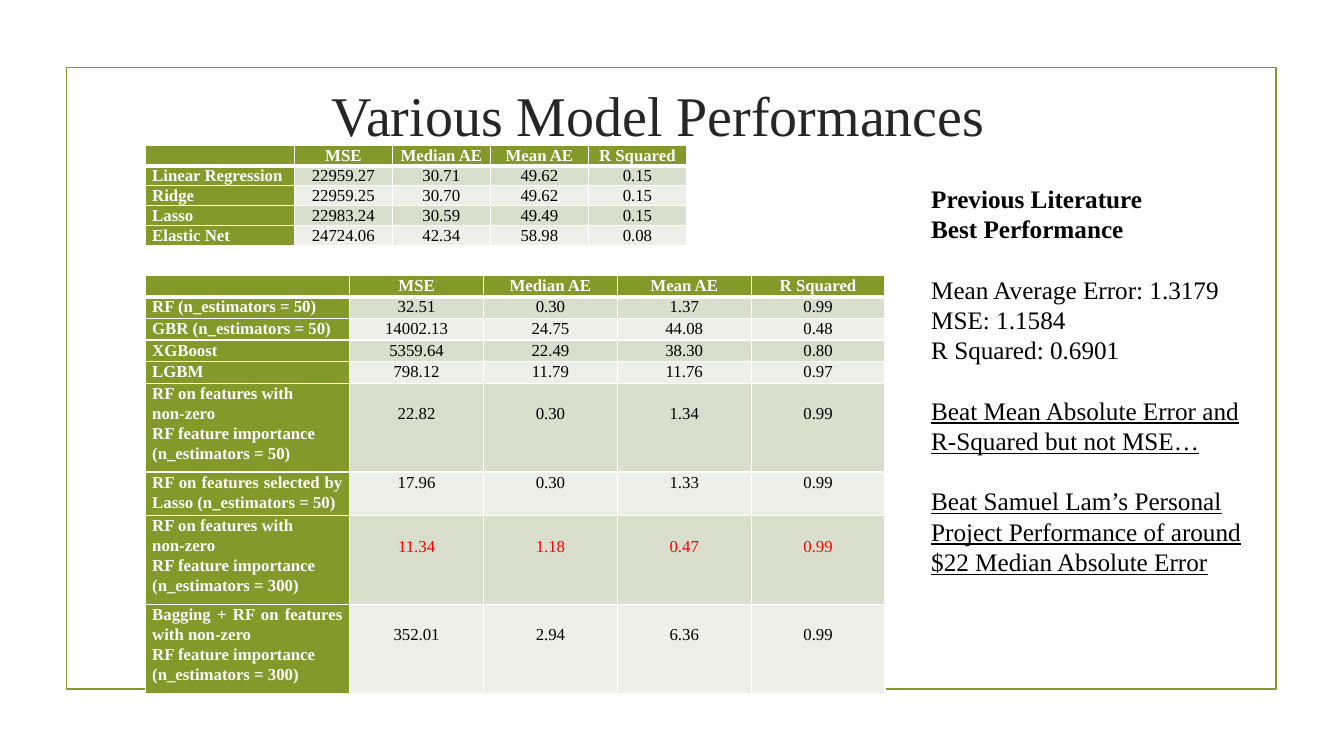
from dataclasses import dataclass

from lxml import etree
from pptx import Presentation
from pptx import util as u
from pptx.dml import color
from pptx.enum import shapes, text
from pptx.oxml import ns

WIDTH, HEIGHT = u.Inches(13.333), u.Inches(7.5)


@dataclass(frozen=True)
class Theme:
    """Colours, font and type sizes of the slide."""
    font: str = "Times New Roman"
    green: str = "83992A"
    band_dark: str = "D9DECD"
    band_light: str = "EDEFE8"
    white: str = "FFFFFF"
    black: str = "000000"
    heading: str = "262626"
    best: str = "FF0000"
    title_size: float = 40
    note_size: float = 18
    note_pitch: float = 21.6
    table_size: float = 12
    table_spacing: float = 1.07


THEME = Theme()
ALIGN = text.PP_ALIGN
METRICS = ["MSE", "Median AE", "Mean AE", "R Squared"]
LINEAR_MODELS = [
    ("Linear Regression", "22959.27 30.71 49.62 0.15"),
    ("Ridge", "22959.25 30.70 49.62 0.15"),
    ("Lasso", "22983.24 30.59 49.49 0.15"),
    ("Elastic Net", "24724.06 42.34 58.98 0.08"),
]
IMPORTANT_FEATURES = "RF on features with\nnon-zero\nRF feature importance\n(n_estimators = {})"
BEST_MODEL = IMPORTANT_FEATURES.format(300)
ENSEMBLE_MODELS = [
    ("RF (n_estimators = 50)", "32.51 0.30 1.37 0.99"),
    ("GBR (n_estimators = 50)", "14002.13 24.75 44.08 0.48"),
    ("XGBoost", "5359.64 22.49 38.30 0.80"),
    ("LGBM", "798.12 11.79 11.76 0.97"),
    (IMPORTANT_FEATURES.format(50), "22.82 0.30 1.34 0.99"),
    ("RF on features selected by Lasso (n_estimators = 50)", "17.96 0.30 1.33 0.99"),
    (BEST_MODEL, "11.34 1.18 0.47 0.99"),
    ("Bagging + RF on features with non-zero\nRF feature importance\n(n_estimators = 300)",
     "352.01 2.94 6.36 0.99"),
]
NOTES = [
    ("Previous Literature\nBest Performance", {"bold": True}),
    ("Mean Average Error: 1.3179\nMSE: 1.1584\nR Squared: 0.6901", {}),
    ("Beat Mean Absolute Error and R-Squared but not MSE…", {"underline": True}),
    ("Beat Samuel Lam’s Personal Project Performance of around $22 Median Absolute Error",
     {"underline": True}),
]


def across(percent):
    """Return a share of the slide's width."""
    return u.Emu(round(WIDTH * percent / 100))


def down(percent):
    """Return a share of the slide's height."""
    return u.Emu(round(HEIGHT * percent / 100))


def area(left, top, width, height):
    """Turn percentages into a position and size."""
    return across(left), down(top), across(width), down(height)


def write(frame, words, *, size, ink=THEME.black, bold=False, underline=False,
          align=ALIGN.LEFT, spacing=None, gap=0):
    """Add one paragraph per line of words, with a gap before the first."""
    for index, line in enumerate(words.split("\n")):
        fresh = len(frame.paragraphs) == 1 and not frame.paragraphs[0].runs
        paragraph = frame.paragraphs[0] if fresh else frame.add_paragraph()
        paragraph.alignment = align
        paragraph.line_spacing = spacing
        if gap and index == 0:
            paragraph.space_before = u.Pt(gap)
        run = paragraph.add_run()
        run.text = line
        run.font.name, run.font.size = THEME.font, u.Pt(size)
        run.font.bold, run.font.underline = bold, underline
        run.font.color.rgb = color.RGBColor.from_string(ink)


def add_words(slide, place, anchor):
    """Add an empty wrapping text box and return its text frame."""
    frame = slide.shapes.add_textbox(*place).text_frame
    frame.word_wrap = True
    frame.vertical_anchor = anchor
    return frame


def add_border_frame(slide):
    """Draw the thin green frame around the content."""
    border = slide.shapes.add_shape(shapes.MSO_SHAPE.RECTANGLE, *area(4.95, 8.93, 90, 82.27))
    border.shadow.inherit = False
    border.fill.background()
    border.line.color.rgb = color.RGBColor.from_string(THEME.green)
    border.line.width = u.Pt(1.25)


def rule_cell(cell, bottom):
    """Give a cell white borders, with the bottom width in points."""
    properties = cell._tc.get_or_add_tcPr()
    for index, (side, points) in enumerate(zip("LRTB", (1, 1, 1, bottom))):
        edge = etree.Element(ns.qn(f"a:ln{side}"), w=str(u.Pt(points)))
        fill = etree.SubElement(edge, ns.qn("a:solidFill"))
        etree.SubElement(fill, ns.qn("a:srgbClr"), val=THEME.white)
        properties.insert(index, edge)


def fill_cell(cell, words, fill, *, bottom=1, lead=0, **style):
    """Write, paint and rule one table cell."""
    cell.margin_left = cell.margin_right = u.Inches(0.07)
    cell.margin_top, cell.margin_bottom = u.Inches(lead), 0
    if words:
        write(cell.text_frame, words, size=THEME.table_size,
              spacing=THEME.table_spacing, **style)
    else:
        etree.SubElement(cell.text_frame.paragraphs[0]._p, ns.qn("a:endParaRPr"),
                         sz=str(round(THEME.table_size * 100)))
    cell.fill.solid()
    cell.fill.fore_color.rgb = color.RGBColor.from_string(fill)
    rule_cell(cell, bottom)


def add_scores(slide, models, place, label_width, row_heights):
    """Add a table of model scores under a green header."""
    grid = slide.shapes.add_table(len(models) + 1, len(METRICS) + 1,
                                  *area(*place, sum(row_heights))).table
    grid.first_row = grid.horz_banding = False
    metric_width = (place[2] - label_width) / len(METRICS)
    for column, width in zip(grid.columns, [label_width] + [metric_width] * len(METRICS)):
        column.width = across(width)
    for row, height in zip(grid.rows, row_heights):
        row.height = down(height)
    for column, metric in enumerate([""] + METRICS):
        fill_cell(grid.cell(0, column), metric, THEME.green, bottom=3,
                  ink=THEME.white, bold=True, align=ALIGN.CENTER)
    for row, (model, scores) in enumerate(models, 1):
        fill_cell(grid.cell(row, 0), model, THEME.green,
                  ink=THEME.white, bold=True, align=ALIGN.JUSTIFY)
        band = THEME.band_dark if row % 2 else THEME.band_light
        ink = THEME.best if model == BEST_MODEL else THEME.black
        lead = 0.2 if "\n" in model else 0
        for column, score in enumerate(scores.split(), 1):
            fill_cell(grid.cell(row, column), score, band, lead=lead,
                      ink=ink, align=ALIGN.CENTER)


def add_notes(slide):
    """Add the comparison with earlier results at the right."""
    frame = add_words(slide, area(68.55, 23.6, 25.13, 53.87), text.MSO_ANCHOR.TOP)
    for index, (words, style) in enumerate(NOTES):
        write(frame, words, size=THEME.note_size, spacing=u.Pt(THEME.note_pitch),
              gap=THEME.note_pitch if index else 0, **style)


def main():
    """Build the slide and save it."""
    deck = Presentation()
    deck.slide_width, deck.slide_height = WIDTH, HEIGHT
    slide = deck.slides.add_slide(deck.slide_layouts[6])
    add_border_frame(slide)
    add_scores(slide, LINEAR_MODELS, (10.8, 19.2, 40.28), 11.1, [2.63] * 5)
    title = add_words(slide, area(9.6, 9.07, 78.75, 12.13), text.MSO_ANCHOR.MIDDLE)
    write(title, "Various Model Performances", size=THEME.title_size,
          ink=THEME.heading, align=ALIGN.CENTER)
    add_scores(slide, ENSEMBLE_MODELS, (10.8, 36.4, 55.05), 15.22,
               [2.82] * 5 + [11.75, 5.78, 11.75, 11.75])
    add_notes(slide)
    deck.save("out.pptx")


if __name__ == "__main__":
    main()
